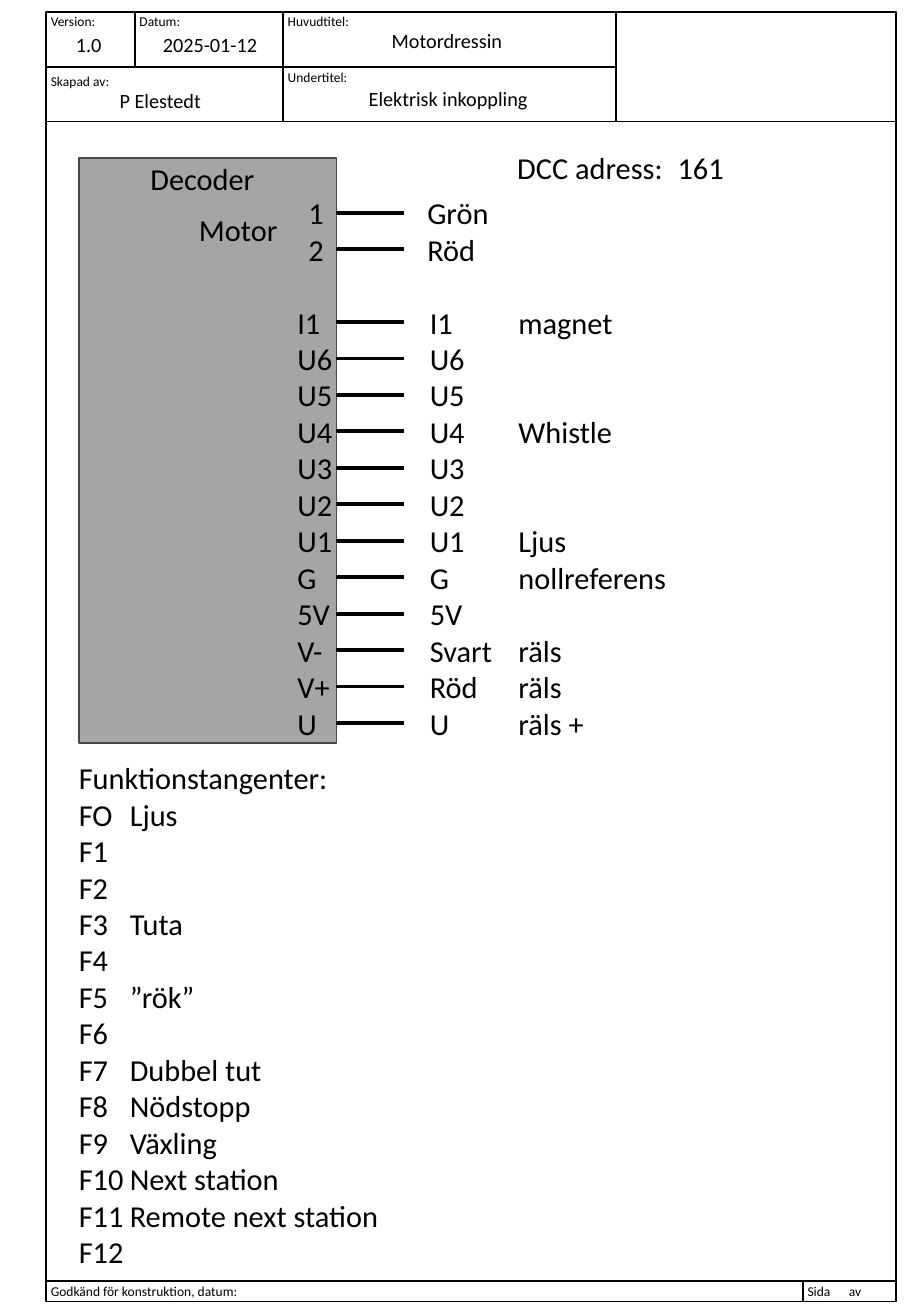
from lxml.etree import SubElement as Sub
from pptx import Presentation
from pptx.dml.color import RGBColor as RGB
from pptx.enum.shapes import MSO_CONNECTOR as CONN, MSO_SHAPE as SHAPE
from pptx.enum.text import PP_ALIGN as AL
from pptx.oxml.ns import qn
from pptx.util import Inches as In, Pt

COLORS = {"ink": "000000", "decoder": "A5A5A5", "edge": "484848"}
W, H = 7.5, 10.83
ROW = 0.3
ROW_0 = 1.75
INSET = 0.1

# Sheet columns and header rows
LEFT, DATE, TITLE, LOGO, PAGE, RIGHT = 0.38, 1.11, 2.33, 5.07, 6.61, 7.38
TOP, MID, HEAD = [0.1 + 0.45 * i for i in range(3)]
FOOT, BOTTOM = 10.54, 10.71

# Wiring columns
BOX, PIN, EDGE, WIRE_END, LABEL = 0.65, 2.45, 2.77, 3.33, 3.54

prs = Presentation()
prs.slide_width, prs.slide_height = In(W), In(H)
s = prs.slides.add_slide(prs.slide_layouts[6])


def line(x1, y1, x2, y2, width=1):
    c = s.shapes.add_connector(CONN.STRAIGHT, In(x1), In(y1), In(x2), In(y2))
    c.line.color.rgb = RGB.from_string(COLORS["ink"])
    c.line.width = Pt(width)
    Sub(c._element.spPr, qn("a:effectLst"))


def text(x, y, w, lines, size, align=AL.LEFT, tab=None):
    height = 2 * 0.05 + len(lines) * size / 60
    sp = s.shapes.add_textbox(In(x - INSET), In(y), In(w + 2 * INSET), In(height))
    tf = sp.text_frame
    tf.word_wrap = True
    for i, words in enumerate(lines):
        p = tf.paragraphs[0] if i == 0 else tf.add_paragraph()
        p.alignment = align
        if tab:
            stops = Sub(p._p.get_or_add_pPr(), qn("a:tabLst"))
            Sub(stops, qn("a:tab"), pos=str(In(tab)), algn="l")
        r = p.add_run()
        r.text = words
        r.font.size = Pt(size)
        r.font.name = "Calibri"
        r.font.color.rgb = RGB.from_string(COLORS["ink"])


# Frame and decoder
for x, y, w, h, fill, edge in [
    (LEFT, TOP, RIGHT - LEFT, BOTTOM - TOP, None, "ink"),
    (BOX, ROW_0 - 1.5 * ROW, EDGE - BOX, 16.05 * ROW, "decoder", "edge"),
]:
    sp = s.shapes.add_shape(SHAPE.RECTANGLE, In(x), In(y), In(w), In(h))
    sp.shadow.inherit = False
    if fill:
        sp.fill.solid()
        sp.fill.fore_color.rgb = RGB.from_string(COLORS[fill])
    else:
        sp.fill.background()
    sp.line.color.rgb = RGB.from_string(COLORS[edge])
    sp.line.width = Pt(1)

# Sheet rules
for x, y1, y2 in [(DATE, TOP, MID), (TITLE, TOP, HEAD), (LOGO, TOP, HEAD), (PAGE, FOOT, BOTTOM)]:
    line(x, y1, x, y2)
for y, x2 in [(MID, LOGO), (HEAD, RIGHT), (FOOT, RIGHT)]:
    line(LEFT, y, x2, y)

# Sheet captions and values
for x, y, words in [
    (LEFT, 0.06, "Version:"),
    (DATE, 0.06, "Datum:"),
    (TITLE, 0.06, "Huvudtitel:"),
    (LEFT, 0.55, "Skapad av:"),
    (TITLE, 0.52, "Undertitel:"),
    (LEFT, 10.51, "Godkänd för konstruktion, datum:"),
    (PAGE, 10.51, "Sida\tav"),
]:
    text(x + 0.04, y, 2 if x < PAGE else 0.6, [words], 8, tab=0.34)
for mid, y, words in [
    (0.73, 0.22, "1.0"),
    (1.73, 0.22, "2025-01-12"),
    (1.32, 0.68, "P Elestedt"),
    (3.68, 0.18, "Motordressin"),
    (3.69, 0.66, "Elektrisk inkoppling"),
]:
    text(mid - 1, y, 2, [words], 12, AL.CENTER)

# Wiring: first row, pin column, label column, pins, labels
for first, pin_x, label_x, pins, labels in [
    (0, PIN + 0.09, LABEL - 0.02, ["1", "2"], ["Grön", "Röd"]),
    (3, PIN, LABEL,
     ["I1", "U6", "U5", "U4", "U3", "U2", "U1", "G", "5V", "V-", "V+", "U"],
     ["I1\tmagnet", "U6", "U5", "U4\tWhistle", "U3", "U2", "U1\tLjus",
      "G\tnollreferens", "5V", "Svart\träls", "Röd\träls", "U\träls +"]),
]:
    y = ROW_0 + first * ROW
    text(pin_x, y - 0.2, 0.4, pins, 18)
    text(label_x, y - 0.2, 2.2, labels, 18, tab=0.73)
    for i in range(len(pins)):
        line(EDGE, y + i * ROW, WIRE_END, y + i * ROW, 2.25)

# Headings and function keys
keys = {0: "Ljus", 3: "Tuta", 5: "”rök”", 7: "Dubbel tut", 8: "Nödstopp",
        9: "Växling", 10: "Next station", 11: "Remote next station"}
functions = ["Funktionstangenter:"]
for n in range(13):
    key = f"F{n}" if n else "FO"
    functions.append(f"{key}\t{keys[n]}" if n in keys else key)
for x, row, w, lines, tab in [
    (1.24, -0.93, 1.5, ["Decoder"], None),
    (1.64, 0.45, 0.8, ["Motor"], None),
    (4.26, -1.25, 2.5, ["DCC adress:\t161"], 1.32),
    (BOX, 15.5, 3.25, functions, 0.42),
]:
    text(x, ROW_0 + row * ROW - 0.2, w, lines, 18, tab=tab)

prs.save("out.pptx")
